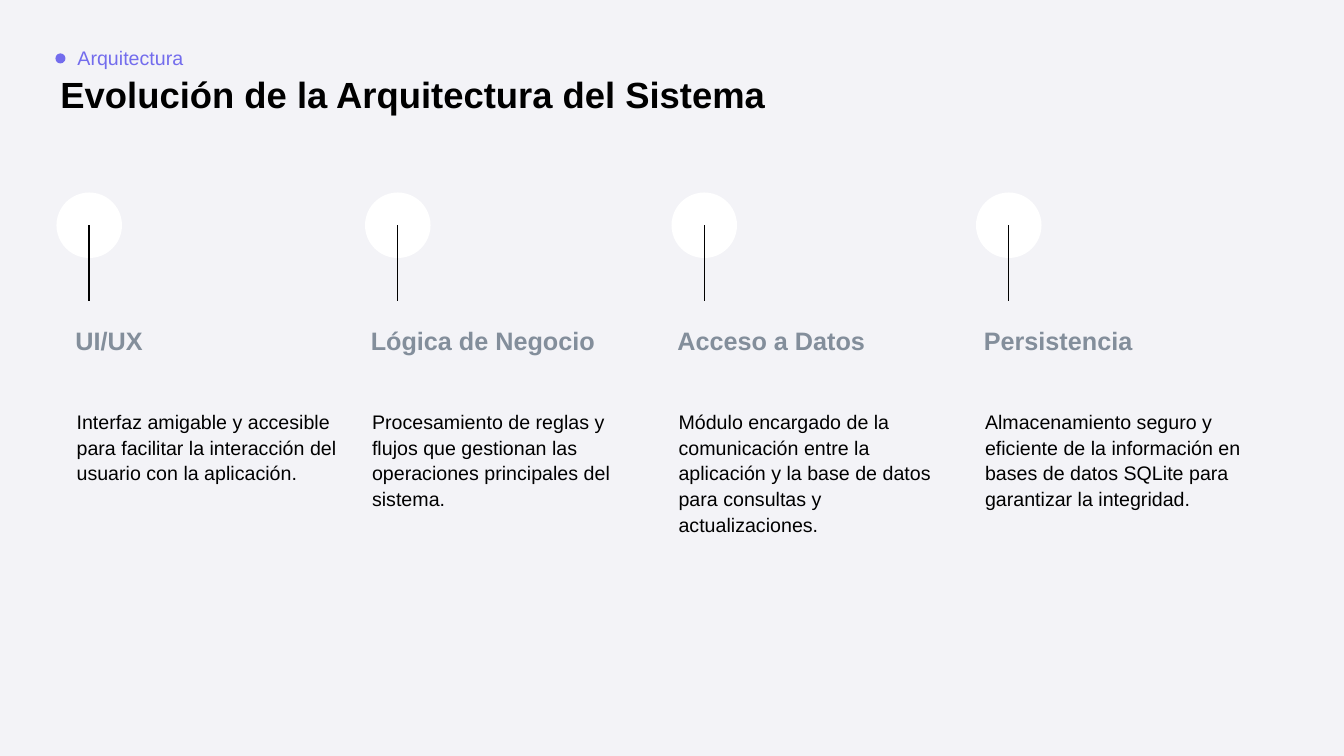
import pptx
import pptx.util
import pptx.dml.color
import pptx.enum.shapes
import pptx.enum.text
from dataclasses import dataclass

Inches = pptx.util.Inches
Anchor = pptx.enum.text.MSO_ANCHOR

LABEL = "Arquitectura"
TITLE = "Evolución de la Arquitectura del Sistema"
# circle left, text left, heading, detail
LAYERS = [
    (0.56, 0.65, "UI/UX",
     "Interfaz amigable y accesible para facilitar la interacción del "
     "usuario con la aplicación."),
    (3.62, 3.58, "Lógica de Negocio",
     "Procesamiento de reglas y flujos que gestionan las operaciones "
     "principales del sistema."),
    (6.66, 6.62, "Acceso a Datos",
     "Módulo encargado de la comunicación entre la aplicación y la base "
     "de datos para consultas y actualizaciones."),
    (9.68, 9.66, "Persistencia",
     "Almacenamiento seguro y eficiente de la información en bases de "
     "datos SQLite para garantizar la integridad."),
]


@dataclass(frozen=True)
class Theme:
    font: str = "Arial"
    back: str = "F3F3F7"
    ink: str = "000000"
    disc: str = "FFFFFF"
    accent: str = "736CED"
    muted: str = "838E9B"
    title: int = 26
    head: int = 18
    body: int = 14


THEME = Theme()
DISC, DISC_TOP, STEM = 0.65, 1.91, 0.75
TEXT_W = 2.8


def rgb(code):
    return pptx.dml.color.RGBColor.from_string(code)


def write(shape, text, box, size, color, bold=False, space=1.0,
          before=12, indent=0, anchor=Anchor.TOP):
    """Place a text shape and fill it with one unbulleted paragraph."""
    shape.left, shape.top, shape.width, shape.height = map(Inches, box)
    frame = shape.text_frame
    frame.word_wrap = True
    frame.auto_size = pptx.enum.text.MSO_AUTO_SIZE.NONE
    frame.vertical_anchor = anchor
    para = frame.paragraphs[0]
    para.alignment = pptx.enum.text.PP_ALIGN.LEFT
    para.line_spacing = space
    para.space_before = pptx.util.Pt(before)
    props = para._p.get_or_add_pPr()
    props.set("marL", str(Inches(indent)))
    props.set("indent", "0")
    props.append(pptx.oxml.parse_xml(
        '<a:buNone xmlns:a="http://schemas.openxmlformats.org/drawingml/2006/main"/>'))
    run = para.add_run()
    run.text = text
    run.font.name = THEME.font
    run.font.size = pptx.util.Pt(size)
    run.font.bold = bold
    run.font.color.rgb = rgb(color)


def add_dot(slide, left, top, size, color):
    dot = slide.shapes.add_shape(
        pptx.enum.shapes.MSO_SHAPE.OVAL, *map(Inches, (left, top, size, size)))
    dot.shadow.inherit = False
    dot.fill.solid()
    dot.fill.fore_color.rgb = rgb(color)
    dot.line.fill.background()


def add_stem(slide, x, top):
    stem = slide.shapes.add_connector(
        pptx.enum.shapes.MSO_CONNECTOR.STRAIGHT,
        *map(Inches, (x, top, x, top + STEM)))
    stem.line.color.rgb = rgb(THEME.ink)
    stem.line.width = pptx.util.Pt(1)
    stem._element.spPr.append(pptx.oxml.parse_xml(
        '<a:effectLst xmlns:a="http://schemas.openxmlformats.org/drawingml/2006/main"/>'))


deck = pptx.Presentation()
deck.slide_width, deck.slide_height = Inches(13.33), Inches(7.5)
# The Comparison layout offers a title and four body placeholders.
slide = deck.slides.add_slide(deck.slide_layouts.get_by_name("Comparison"))
slide.background.fill.solid()
slide.background.fill.fore_color.rgb = rgb(THEME.back)

write(slide.shapes.title, TITLE, (0.5, 0.8, 12.17, 0.64), THEME.title,
      THEME.ink, bold=True, space=0.65, before=0)
bodies = [slot for slot in slide.placeholders if slot.placeholder_format.idx > 0]

for body, (disc_x, text_x, head, detail) in zip(bodies, LAYERS):
    add_dot(slide, disc_x, DISC_TOP, DISC, THEME.disc)
    add_stem(slide, disc_x + DISC / 2, DISC_TOP + DISC / 2)
    write(slide.shapes.add_textbox(0, 0, 0, 0), head,
          (text_x, 3.22, TEXT_W, 0.6), THEME.head, THEME.muted,
          bold=True, space=0.85)
    write(body, detail, (text_x, 3.99, TEXT_W, 2.09), THEME.body, THEME.ink,
          space=1.1, indent=0.01)

write(slide.shapes.add_textbox(0, 0, 0, 0), LABEL, (0.67, 0.41, 4.17, 0.33),
      THEME.body, THEME.accent, anchor=Anchor.MIDDLE)
add_dot(slide, 0.55, 0.53, 0.1, THEME.accent)

deck.save("out.pptx")
